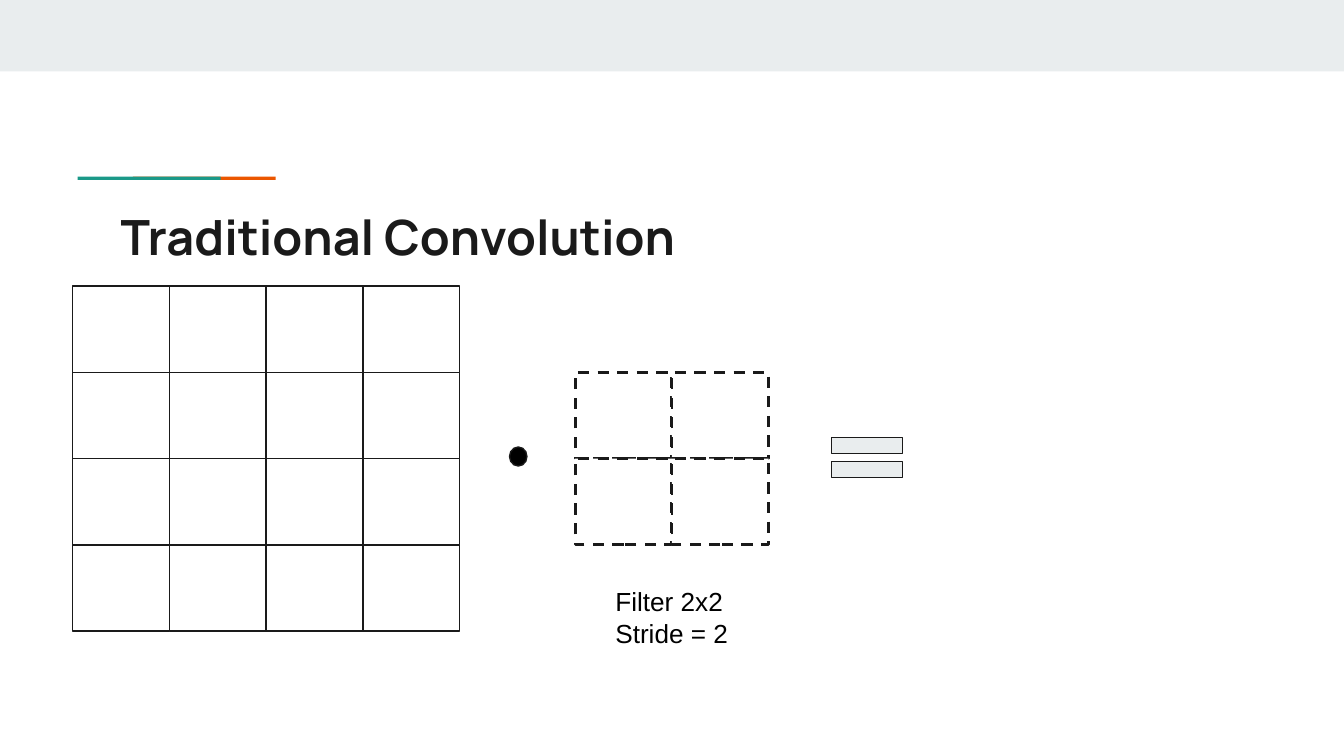
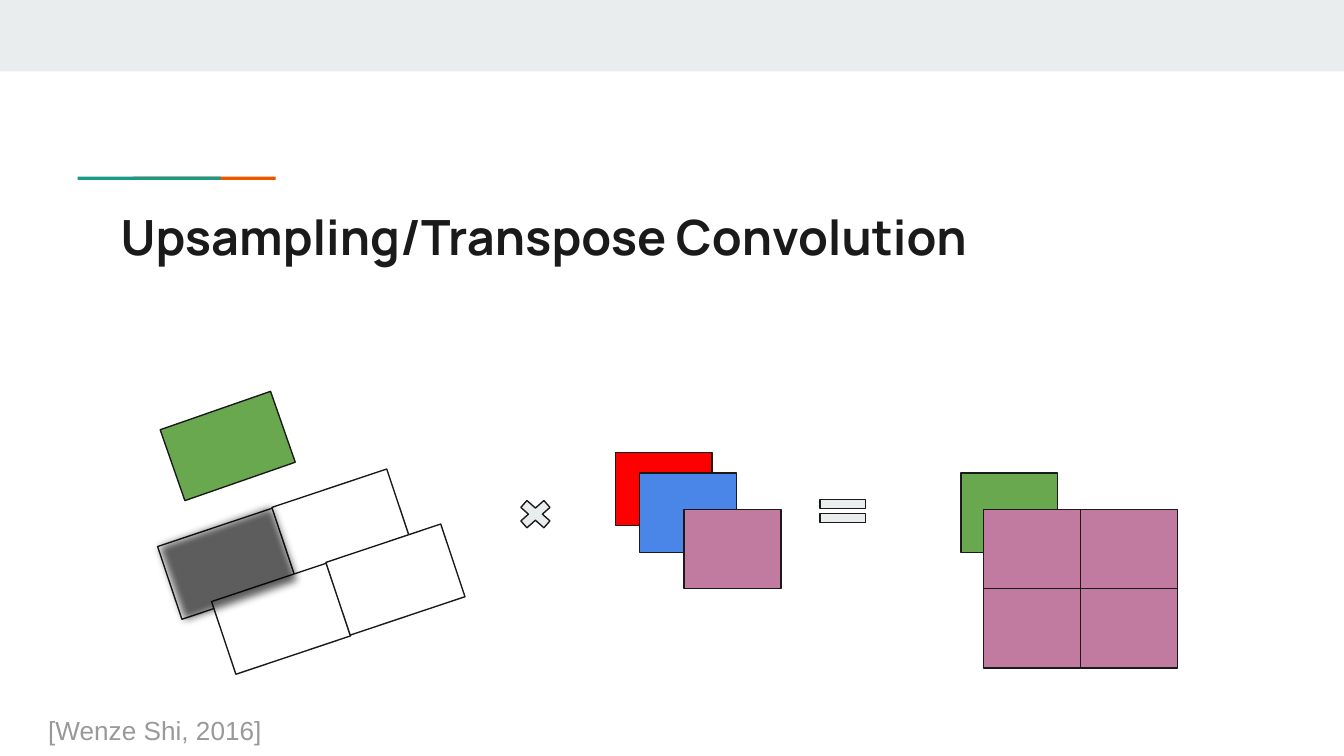
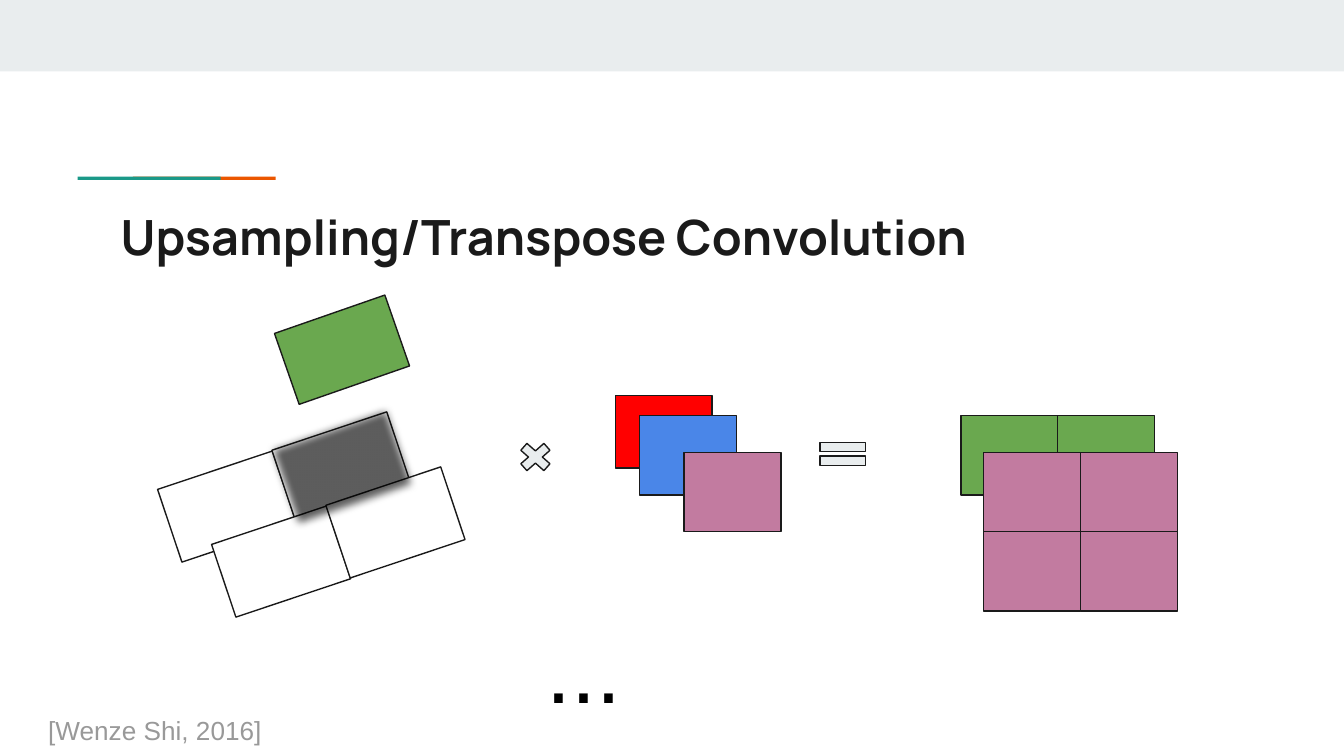
import itertools

import pptx
import pptx.dml.color
import pptx.enum.dml
import pptx.enum.shapes
import pptx.oxml
import pptx.oxml.ns
import pptx.util

Cm = pptx.util.Cm
Pt = pptx.util.Pt
RGBColor = pptx.dml.color.RGBColor
SHAPE = pptx.enum.shapes.MSO_SHAPE
DASH = pptx.enum.dml.MSO_LINE.DASH

INK = RGBColor(0x1A, 0x1A, 0x1A)
BLACK = RGBColor(0x00, 0x00, 0x00)
WHITE = RGBColor(0xFF, 0xFF, 0xFF)
MIST = RGBColor(0xE9, 0xED, 0xEE)
GREY = RGBColor(0x99, 0x99, 0x99)
TEAL = RGBColor(0x1A, 0x99, 0x88)
ORANGE = RGBColor(0xEB, 0x56, 0x00)
RED = RGBColor(0xFF, 0x00, 0x00)
BLUE = RGBColor(0x4A, 0x86, 0xE8)
PINK = RGBColor(0xC2, 0x7B, 0xA0)
GREEN = RGBColor(0x6A, 0xA8, 0x4F)

PAGE_WIDTH, PAGE_HEIGHT = 25.4, 14.29
CELL_WIDTH = 1.83
INPUT_CELL_HEIGHT = 1.63
OUTPUT_CELL_HEIGHT = 1.5
EQUAL_ADJUSTMENTS = (0.235, 0.118)


def add_block(page, left, top, width, height, fill, kind=SHAPE.RECTANGLE,
              line=INK, weight=0.75, dash=None, rotation=0, adjustments=()):
    """Add a preset shape; lengths are in centimetres."""
    block = page.shapes.add_shape(kind, Cm(left), Cm(top), Cm(width), Cm(height))
    block.shadow.inherit = False
    block.fill.solid()
    block.fill.fore_color.rgb = fill
    block.rotation = rotation
    if line is None:
        block.line.fill.background()
    else:
        block.line.color.rgb = line
        block.line.width = Pt(weight)
        if dash is not None:
            block.line.dash_style = dash
    for index, value in enumerate(adjustments):
        block.adjustments[index] = value
    return block


def add_text(page, text, left, top, width, height, size=14, font="Arial",
             color=BLACK, bold=False):
    box = page.shapes.add_textbox(Cm(left), Cm(top), Cm(width), Cm(height))
    frame = box.text_frame
    frame.word_wrap = True
    frame.margin_left = frame.margin_right = Cm(0.25)
    frame.margin_top = frame.margin_bottom = Cm(0.25)
    span = frame.paragraphs[0].add_run()
    span.text = text
    span.font.size = Pt(size)
    span.font.name = font
    span.font.bold = bold
    span.font.color.rgb = color


def add_grid(page, left, top, rows, columns, cell_height, fill, **line_format):
    for row, column in itertools.product(range(rows), range(columns)):
        add_block(page, left + column * CELL_WIDTH, top + row * cell_height,
                  CELL_WIDTH, cell_height, fill, **line_format)


def cast_shadow_below(block):
    """Throw a blurred shadow straight down onto the cell under the block."""
    namespace = pptx.oxml.ns.nsdecls("a")
    effects = block._element.spPr.find(pptx.oxml.ns.qn("a:effectLst"))
    effects.append(pptx.oxml.parse_xml(
        f'<a:outerShdw {namespace} blurRad="{Pt(4.5)}" dist="{Pt(63)}" '
        'dir="5400000" algn="bl" rotWithShape="0">'
        '<a:srgbClr val="000000"><a:alpha val="64000"/></a:srgbClr>'
        '</a:outerShdw>'))


def add_page(deck, title):
    """Add a blank page with the top band, the accent rule and a title."""
    page = deck.slides.add_slide(deck.slide_layouts[6])
    add_block(page, 0, 0, PAGE_WIDTH, 1.35, MIST, line=None)
    for left, color in ((2.51, ORANGE), (1.47, TEAL)):
        add_block(page, left, 3.34, 2.7, 0.06, color, line=None)
    add_text(page, title, 2.03, 3.66, 21.36, 1.5,
             size=26, font="Manrope", color=INK, bold=True)
    return page


def add_tilted_input(page, left, top, active_column):
    """Draw the tilted 2x2 input with a tile hovering over a first-row cell."""
    step_x, step_y = 2.16, -0.74
    for row, column in itertools.product(range(2), range(2)):
        add_block(page, left + column * step_x + row * 1.02,
                  top + 2.21 + column * step_y + row * 1.04,
                  2.29, 1.45, WHITE, rotation=341.5)
    tile = add_block(page, left + 0.05 + active_column * step_x,
                     top + active_column * step_y,
                     2.21, 1.42, GREEN, rotation=340.8)
    cast_shadow_below(tile)


def add_filter_stack(page, left, top):
    for across, down, height, color in ((0, 0, 1.37, RED),
                                        (0.46, 0.38, OUTPUT_CELL_HEIGHT, BLUE),
                                        (1.3, 1.07, OUTPUT_CELL_HEIGHT, PINK)):
        add_block(page, left + across, top + down, CELL_WIDTH, height, color)


def add_output(page, left, top, green_cells):
    add_grid(page, left, top, 1, green_cells, OUTPUT_CELL_HEIGHT, GREEN)
    add_grid(page, left + 0.43, top + 0.69, 2, 2, OUTPUT_CELL_HEIGHT, PINK)


def build_traditional(deck):
    page = add_page(deck, "Traditional Convolution")
    top = 5.41
    add_grid(page, 1.37, top, 4, 4, INPUT_CELL_HEIGHT, WHITE)
    add_grid(page, 10.87, top + INPUT_CELL_HEIGHT, 2, 2, INPUT_CELL_HEIGHT,
             WHITE, weight=1.5, dash=DASH.DASH)
    add_block(page, 15.47, 8.0, 1.83, 1.3, MIST, kind=SHAPE.MATH_EQUAL,
              adjustments=EQUAL_ADJUSTMENTS)
    add_text(page, "Filter 2x2 Stride = 2", 11.38, 10.82, 3.15, 1.83)
    add_block(page, 9.63, 8.45, 0.33, 0.36, BLACK, kind=SHAPE.OVAL)


def build_upsampling(deck, top, active_column):
    page = add_page(deck, "Upsampling/Transpose Convolution")
    add_tilted_input(page, 3.15, top, active_column)
    add_block(page, 9.7, top + 1.63, 0.84, 0.74, MIST,
              kind=SHAPE.MATH_MULTIPLY, adjustments=EQUAL_ADJUSTMENTS[:1])
    add_filter_stack(page, 11.63, top + 0.84)
    add_block(page, 15.34, top + 1.57, 1.17, 0.74, MIST,
              kind=SHAPE.MATH_EQUAL, adjustments=EQUAL_ADJUSTMENTS)
    add_output(page, 18.16, top + 1.22, active_column + 1)
    add_text(page, "[Wenze Shi, 2016]", 0.66, 13.26, 5.94, 0.76, color=GREY)
    return page


def main():
    deck = pptx.Presentation()
    deck.slide_width = Cm(PAGE_WIDTH)
    deck.slide_height = Cm(PAGE_HEIGHT)
    build_traditional(deck)
    build_upsampling(deck, 7.72, active_column=0)
    page = build_upsampling(deck, 6.64, active_column=1)
    add_text(page, "...", 10.08, 11.35, 3.05, 1.5, size=48)
    deck.save("out.pptx")


if __name__ == "__main__":
    main()
